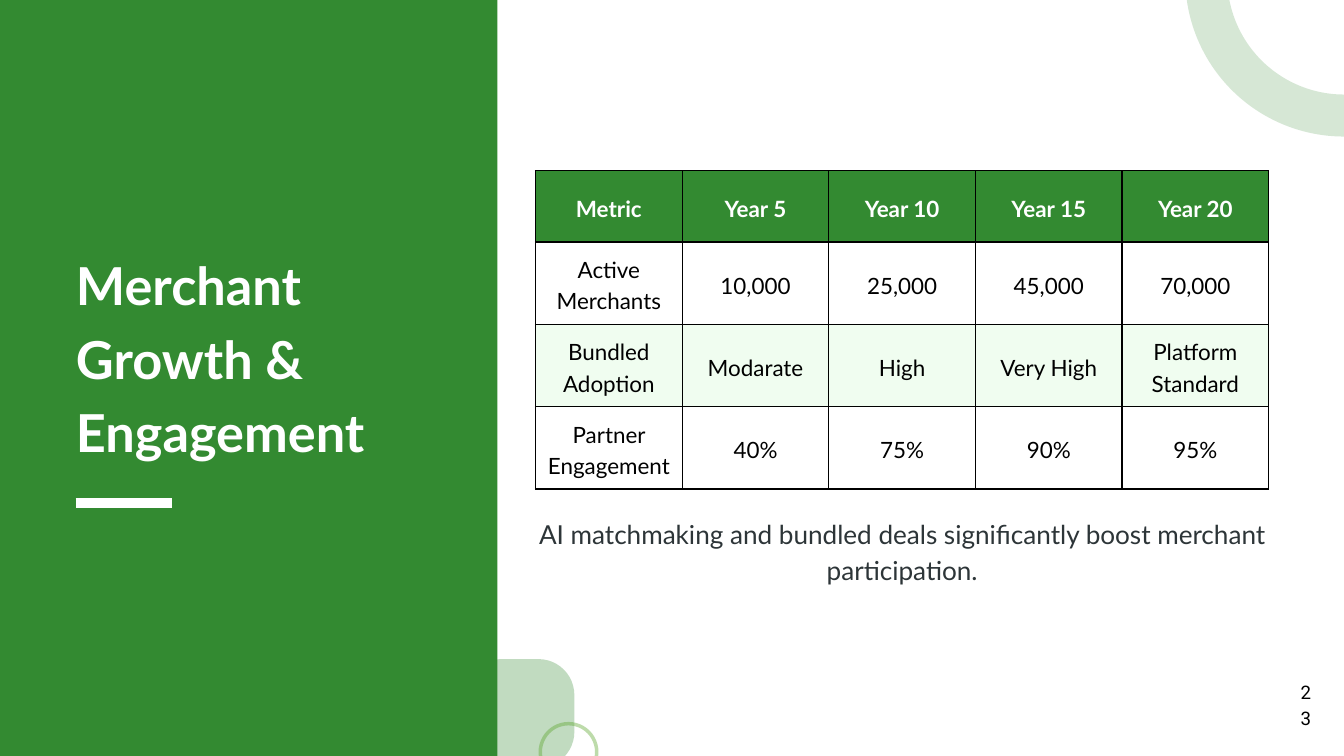
import pptx
import pptx.util
import pptx.oxml.ns
import pptx.oxml.xmlchemy
from pptx.dml.color import RGBColor
from pptx.enum.shapes import MSO_CONNECTOR, MSO_SHAPE
from pptx.enum.text import MSO_ANCHOR, PP_ALIGN

Pt = pptx.util.Pt
qn = pptx.oxml.ns.qn
OxmlElement = pptx.oxml.xmlchemy.OxmlElement

COLORS = {
    "green": "338A31", "leaf": "5BA62C", "mint": "F0FDF0",
    "white": "FFFFFF", "black": "000000", "slate": "2D3538",
}
ROWS = [
    ["Metric", "Year 5", "Year 10", "Year 15", "Year 20"],
    ["Active Merchants", "10,000", "25,000", "45,000", "70,000"],
    ["Bundled Adoption", "Modarate", "High", "Very High", "Platform Standard"],
    ["Partner Engagement", "40%", "75%", "90%", "95%"],
]
ROW_FILLS = ["green", None, "mint", None]


def rgb(name):
    return RGBColor.from_string(COLORS[name])


def set_alpha(sp, percent):
    for clr in sp._element.spPr.iter(qn("a:srgbClr")):
        alpha = OxmlElement("a:alpha")
        alpha.set("val", str(percent * 1000))
        clr.append(alpha)


def add_block(s, kind, box, fill=None, line=None, width=0, alpha=100):
    sp = s.shapes.add_shape(kind, *[Pt(v) for v in box])
    sp.shadow.inherit = False
    for part, color in ((sp.fill, fill), (sp.line.fill, line)):
        if color:
            part.solid()
            part.fore_color.rgb = rgb(color)
        else:
            part.background()
    if line:
        sp.line.width = Pt(width)
    if alpha < 100:
        set_alpha(sp, alpha)
    return sp


def write(tf, text, size, color, spacing, font="Lato", bold=False,
          align=PP_ALIGN.CENTER):
    p = tf.paragraphs[0]
    p.alignment = align
    p.line_spacing = Pt(spacing)
    r = p.add_run()
    r.text = text
    for name, value in {"name": font, "size": Pt(size), "bold": bold}.items():
        setattr(r.font, name, value)
    r.font.color.rgb = rgb(color)


def add_text(s, box, text, size, color, spacing, **style):
    tf = s.shapes.add_textbox(*[Pt(v) for v in box]).text_frame
    tf.word_wrap = True
    for side in ("left", "top", "right", "bottom"):
        setattr(tf, "margin_" + side, 0)
    write(tf, text, size, color, spacing, **style)


def add_rule(s, x1, x2, y, color, width):
    c = s.shapes.add_connector(MSO_CONNECTOR.STRAIGHT, Pt(x1), Pt(y), Pt(x2), Pt(y))
    c.line.color.rgb = rgb(color)
    c.line.width = Pt(width)
    c._element.spPr.append(OxmlElement("a:effectLst"))


def add_borders(cell, color, width):
    tc_pr = cell._tc.get_or_add_tcPr()
    for tag in ("a:lnL", "a:lnR", "a:lnT", "a:lnB"):
        ln = OxmlElement(tag)
        ln.set("w", str(int(Pt(width))))
        fill = OxmlElement("a:solidFill")
        clr = OxmlElement("a:srgbClr")
        clr.set("val", COLORS[color])
        fill.append(clr)
        ln.append(fill)
        tc_pr.append(ln)


def add_metrics(s, box, header_height, row_height):
    frame = s.shapes.add_table(len(ROWS), len(ROWS[0]), *[Pt(v) for v in box])
    table = frame.table
    table.horz_banding = False
    for col in table.columns:
        col.width = Pt(box[2] / len(ROWS[0]))
    for i, (texts, fill) in enumerate(zip(ROWS, ROW_FILLS)):
        header = i == 0
        table.rows[i].height = Pt(header_height if header else row_height)
        for j, text in enumerate(texts):
            cell = table.cell(i, j)
            add_borders(cell, "black", 1.5)
            if fill:
                cell.fill.solid()
                cell.fill.fore_color.rgb = rgb(fill)
            else:
                cell.fill.background()
            cell.vertical_anchor = MSO_ANCHOR.MIDDLE
            for side in ("left", "top", "right", "bottom"):
                setattr(cell, "margin_" + side, Pt(7.5))
            write(cell.text_frame, text, 24, "white" if header else "black",
                  33.6, bold=header)


def main():
    prs = pptx.Presentation()
    prs.slide_width, prs.slide_height = Pt(1440), Pt(810)
    s = prs.slides.add_slide(prs.slide_layouts[6])

    # Decoration and side panel
    add_block(s, MSO_SHAPE.OVAL, (1292.4, -171.4, 295.2, 295.2),
              line="green", width=45, alpha=20)
    add_block(s, MSO_SHAPE.RECTANGLE, (0, 0, 533, 810), fill="green")
    tile = add_block(s, MSO_SHAPE.ROUNDED_RECTANGLE, (499, 706.2, 116.4, 116.4),
                     fill="green", alpha=30)
    tile.adjustments[0] = 0.33
    add_block(s, MSO_SHAPE.OVAL, (578.9, 775.4, 60.5, 60.5),
              line="leaf", width=3.75, alpha=40)

    # Metrics table
    add_metrics(s, (573.8, 183, 785.5, 341), 76.4, 88.2)

    # Title, takeaway and page number
    add_rule(s, 81, 184, 539, "white", 10)
    add_text(s, (81.4, 260.6, 371.5, 229.7), "Merchant Growth & Engagement",
             56, "white", 78.4, bold=True, align=PP_ALIGN.LEFT)
    add_text(s, (573.8, 549.4, 785.5, 77.8),
             "AI matchmaking and bundled deals significantly boost merchant participation.",
             28, "slate", 39.2)
    add_text(s, (1393.2, 725, 12.2, 15.8), "23", 20, "black", 28, font="Roboto")

    prs.save("out.pptx")


if __name__ == "__main__":
    main()
